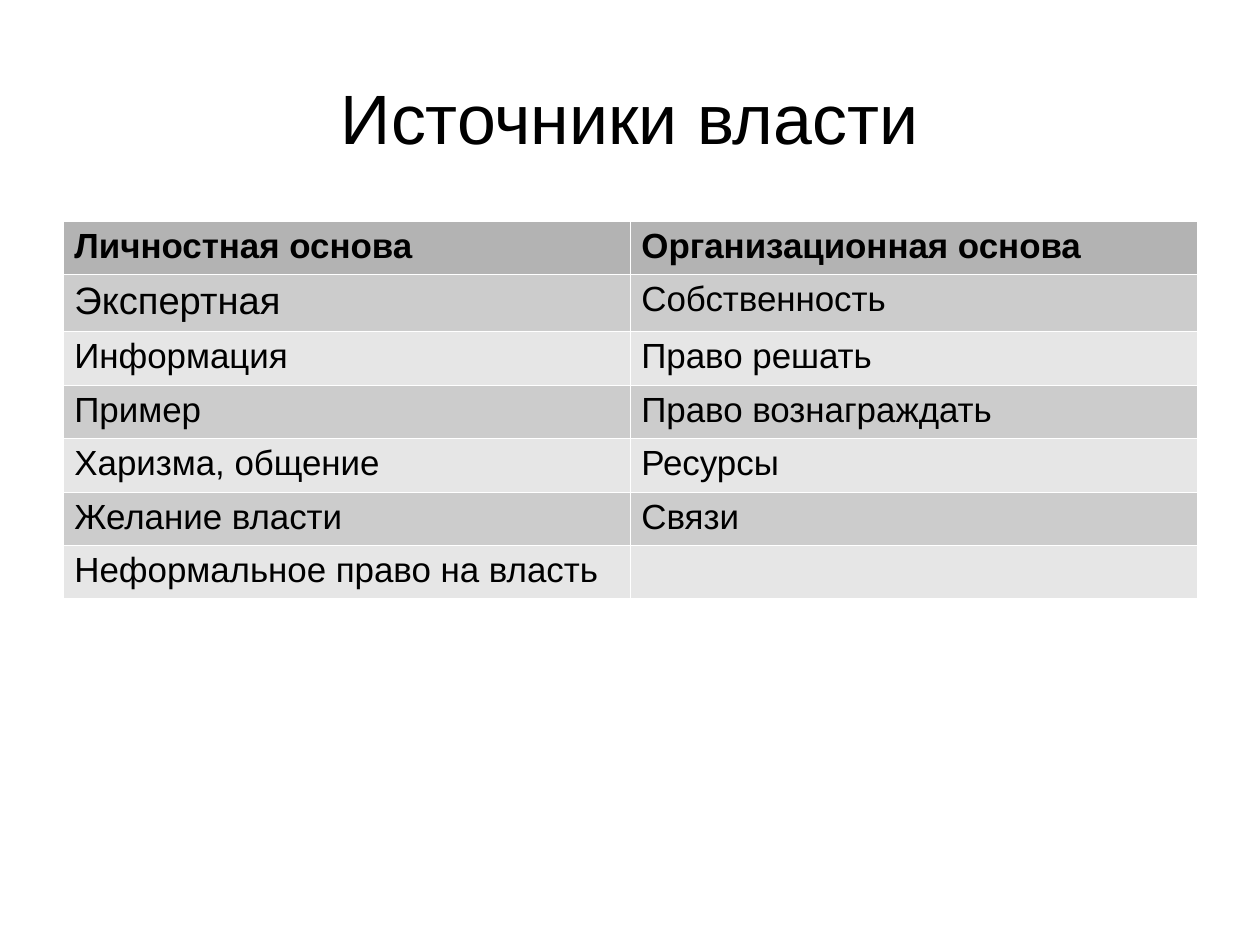
"""Build the slide on the sources of power."""
from dataclasses import dataclass

from lxml import etree
from pptx import Presentation
from pptx.dml.color import RGBColor
from pptx.enum.text import MSO_ANCHOR, PP_ALIGN
from pptx.oxml.ns import qn
from pptx.util import Pt

CENTER = PP_ALIGN.CENTER
MIDDLE = MSO_ANCHOR.MIDDLE
PX = 8000


@dataclass(frozen=True)
class Theme:
    font: str = "Arial"
    ink: str = "000000"
    border: str = "FFFFFF"
    border_emu: int = 762
    header_fill: str = "B3B3B3"
    band_fills: tuple = ("E6E6E6", "CCCCCC")
    title_size: int = 44
    cell_size: int = 22
    expert_size: int = 24


THEME = Theme()
LEFT, WIDTH = 63, 1134
ROW_HEIGHT = 50
SOURCES = [
    ("Личностная основа", "Организационная основа"),
    ("Экспертная", "Собственность"),
    ("Информация", "Право решать"),
    ("Пример", "Право вознаграждать"),
    ("Харизма, общение", "Ресурсы"),
    ("Желание власти", "Связи"),
    ("Неформальное право на власть", ""),
]


def write(paragraph, text, size, bold=False):
    if text:
        paragraph.add_run().text = text
    font = paragraph.font
    font.name = THEME.font
    font.size = Pt(size)
    font.bold = bold
    font.color.rgb = RGBColor.from_string(THEME.ink)


def outline(cell):
    properties = cell._tc.get_or_add_tcPr()
    for side in ("a:lnL", "a:lnR", "a:lnT", "a:lnB"):
        line = etree.SubElement(properties, qn(side), w=str(THEME.border_emu))
        fill = etree.SubElement(line, qn("a:solidFill"))
        etree.SubElement(fill, qn("a:srgbClr"), val=THEME.border)


prs = Presentation()
prs.slide_width = 1260 * PX
prs.slide_height = 945 * PX
slide = prs.slides.add_slide(prs.slide_layouts[6])

title = slide.shapes.add_textbox(LEFT * PX, 38 * PX, WIDTH * PX, 158 * PX).text_frame
title.word_wrap = True
title.vertical_anchor = MIDDLE
title.margin_left = title.margin_right = title.margin_top = title.margin_bottom = 0
title.paragraphs[0].alignment = CENTER
write(title.paragraphs[0], "Источники власти", THEME.title_size)

power_table = slide.shapes.add_table(
    len(SOURCES), 2, LEFT * PX, 221 * PX, WIDTH * PX, len(SOURCES) * ROW_HEIGHT * PX
).table
power_table.first_row = False
power_table.horz_banding = False

for row, sources in enumerate(SOURCES):
    row_fill = THEME.band_fills[row % 2] if row else THEME.header_fill
    for column, source in enumerate(sources):
        cell = power_table.cell(row, column)
        outline(cell)
        cell.fill.solid()
        cell.fill.fore_color.rgb = RGBColor.from_string(row_fill)
        size = THEME.expert_size if source == "Экспертная" else THEME.cell_size
        write(cell.text_frame.paragraphs[0], source, size, bold=row == 0)

prs.save("out.pptx")
